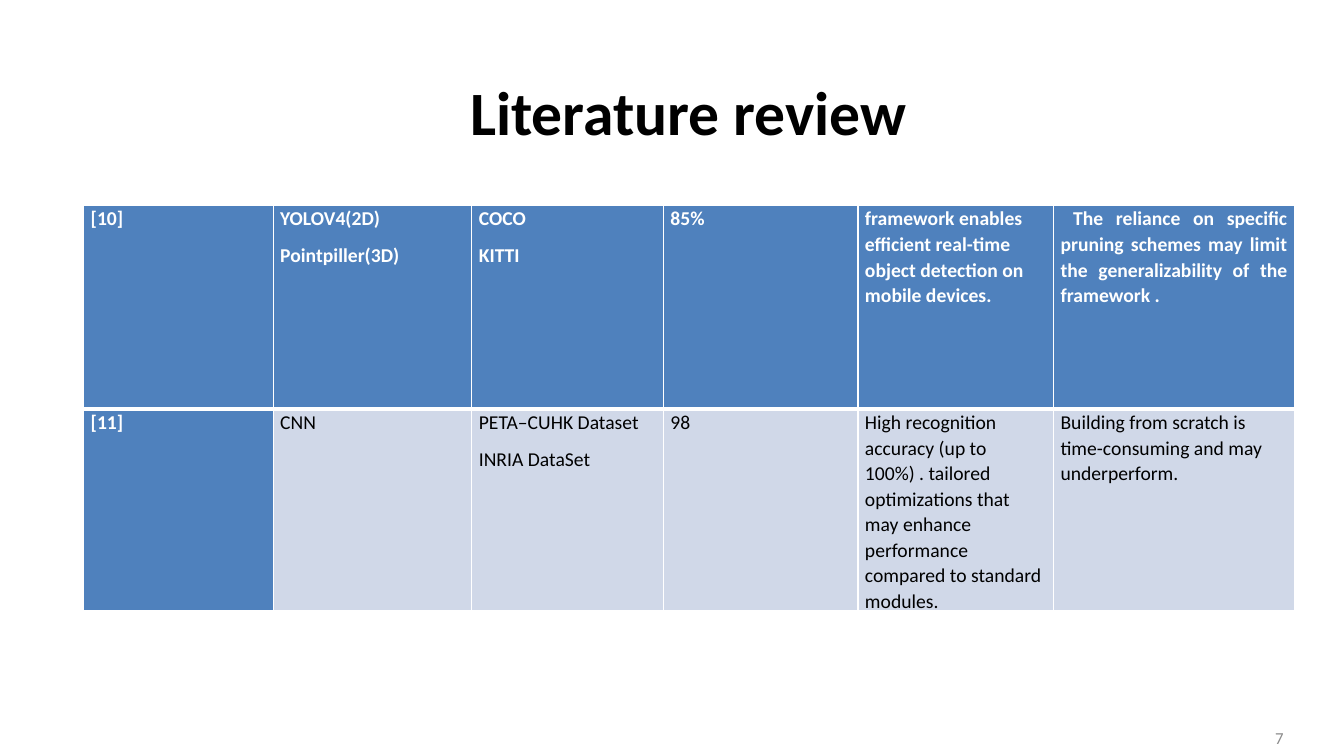
import pptx
import pptx.dml.color
import pptx.enum.text
import pptx.oxml
import pptx.oxml.ns
import pptx.util
from pptx.util import Inches

ALIGN = pptx.enum.text.PP_ALIGN
MIDDLE = pptx.enum.text.MSO_ANCHOR.MIDDLE

COLUMN_WIDTHS = [1.88, 1.97, 1.9, 1.93, 1.94, 2.39]
ROW_HEIGHTS = [2.02, 1.99]
REVIEW_ROWS = [
    ["[10]", "YOLOV4(2D)\nPointpiller(3D)", "COCO\nKITTI", "85%",
     "framework enables efficient real-time object detection on mobile devices.",
     " The reliance on specific pruning schemes may limit the generalizability of the framework ."],
    ["[11]", "CNN", "PETA–CUHK Dataset\nINRIA DataSet", "98",
     "High recognition accuracy (up to 100%) . tailored optimizations that may enhance "
     "performance compared to standard modules.",
     "Building from scratch is time-consuming and may underperform."],
]
JUSTIFIED_CELLS = {(0, 0), (0, 3), (0, 5), (1, 0), (1, 3)}


def color(value):
    return pptx.dml.color.RGBColor.from_string(value)


def set_attributes(target, values):
    for name, value in values.items():
        setattr(target, name, value)


class ReviewSlide:
    font_name = "Calibri"
    black, white, gray = "000000", "FFFFFF", "8C8C8C"
    header_fill, body_fill = "4F81BD", "D0D8E8"
    cell_margins = {"margin_left": Inches(0.07), "margin_right": Inches(0.07),
                    "margin_top": 0, "margin_bottom": 0}
    cell_spacing = {"line_spacing": 1.07, "space_after": pptx.util.Pt(8)}

    def __init__(self, presentation):
        self.slide = presentation.slides.add_slide(presentation.slide_layouts[5])

    def format_paragraph(self, paragraph, text, size, text_color, bold=False, **layout):
        paragraph.text = text
        set_attributes(paragraph, layout)
        set_attributes(paragraph.font, {"name": self.font_name, "bold": bold,
                                        "size": pptx.util.Pt(size)})
        paragraph.font.color.rgb = color(text_color)

    def add_title(self, text, left, top, width, height):
        title = self.slide.shapes.title
        set_attributes(title, {"left": Inches(left), "top": Inches(top),
                               "width": Inches(width), "height": Inches(height)})
        title.text_frame.vertical_anchor = MIDDLE
        self.format_paragraph(title.text_frame.paragraphs[0], text, 44, self.black, True,
                              alignment=ALIGN.CENTER)

    def add_page_number(self, text, left, top, width, height):
        shape = self.slide.shapes.add_textbox(
            Inches(left), Inches(top), Inches(width), Inches(height))
        set_attributes(shape.text_frame, {"word_wrap": True, "vertical_anchor": MIDDLE})
        self.format_paragraph(shape.text_frame.paragraphs[0], text, 12, self.gray,
                              alignment=ALIGN.RIGHT)

    def set_borders(self, cell, widths):
        """Draw cell borders; the line elements must come before the fill."""
        properties = cell._tc.get_or_add_tcPr()
        for index, (side, width) in enumerate(widths.items()):
            properties.insert(index, pptx.oxml.parse_xml(
                f'<a:ln{side} {pptx.oxml.ns.nsdecls("a")} w="{pptx.util.Pt(width)}">'
                f'<a:solidFill><a:srgbClr val="{self.white}"/></a:solidFill></a:ln{side}>'))

    def fill_cell(self, cell, text, is_header, alignment):
        set_attributes(cell, self.cell_margins)
        cell.fill.solid()
        cell.fill.fore_color.rgb = color(self.header_fill if is_header else self.body_fill)
        text_color = self.white if is_header else self.black
        for index, line in enumerate(text.split("\n")):
            frame = cell.text_frame
            paragraph = frame.add_paragraph() if index else frame.paragraphs[0]
            self.format_paragraph(paragraph, line, 14, text_color, is_header,
                                  alignment=alignment, **self.cell_spacing)

    def add_table(self, rows, left, top):
        table = self.slide.shapes.add_table(
            len(rows), len(COLUMN_WIDTHS), Inches(left), Inches(top),
            Inches(sum(COLUMN_WIDTHS)), Inches(sum(ROW_HEIGHTS))).table
        set_attributes(table, {"first_row": True, "first_col": True,
                               "horz_banding": False})
        for column, width in zip(table.columns, COLUMN_WIDTHS):
            column.width = Inches(width)
        for row_index, texts in enumerate(rows):
            table.rows[row_index].height = Inches(ROW_HEIGHTS[row_index])
            for column_index, text in enumerate(texts):
                position = (row_index, column_index)
                cell = table.cell(*position)
                alignment = ALIGN.JUSTIFY if position in JUSTIFIED_CELLS else ALIGN.LEFT
                self.fill_cell(cell, text, 0 in position, alignment)
                self.set_borders(cell, {"L": 1, "R": 1, "T": 3 if row_index else 1,
                                        "B": 1 if row_index else 3})


def main():
    presentation = pptx.Presentation()
    set_attributes(presentation, {"slide_width": Inches(13.33),
                                  "slide_height": Inches(7.5)})
    review = ReviewSlide(presentation)
    review.add_page_number("7", 9.72, 7.12, 3.11, 0.4)
    review.add_title("Literature review", 0.83, 0.47, 12, 1.25)
    review.add_table(REVIEW_ROWS, 0.83, 2.04)
    presentation.save("out.pptx")


if __name__ == "__main__":
    main()
